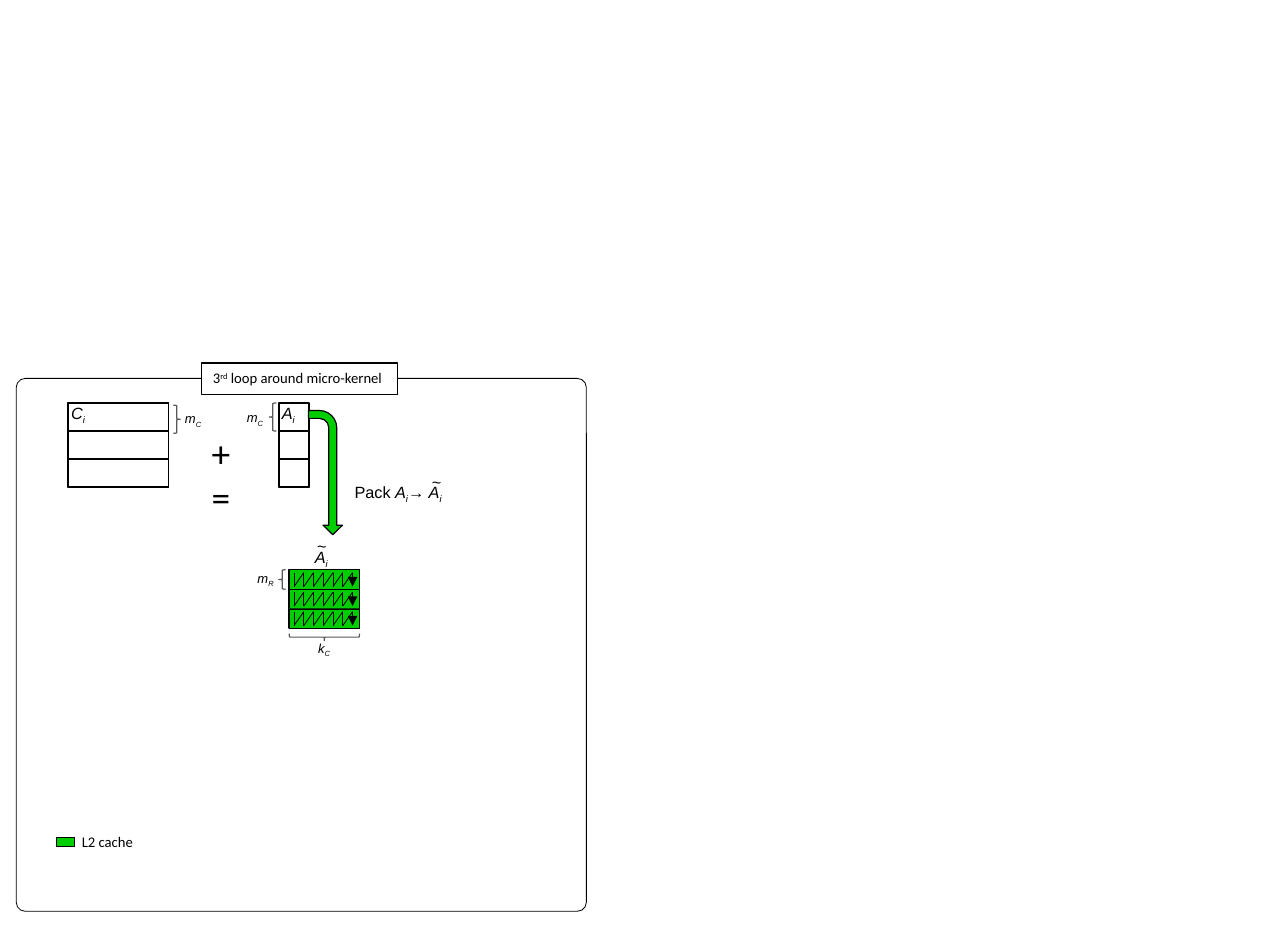
from lxml import etree
from pptx import Presentation
from pptx.dml.color import RGBColor
from pptx.enum.shapes import MSO_CONNECTOR, MSO_SHAPE
from pptx.enum.text import MSO_ANCHOR, PP_ALIGN
from pptx.oxml.ns import qn
from pptx.util import Pt

RECTANGLE = MSO_SHAPE.RECTANGLE
BRACE = MSO_SHAPE.RIGHT_BRACE
STRAIGHT = MSO_CONNECTOR.STRAIGHT
COLORS = {"black": "000000", "white": "FFFFFF", "l2": "00CE00", "brace": "595959"}

presentation = Presentation()
presentation.slide_width = Pt(792)
presentation.slide_height = Pt(576)
slide = presentation.slides.add_slide(presentation.slide_layouts[6])


def add_outline(kind, box, fill, line_width, line="black"):
    shape = slide.shapes.add_shape(kind, *map(Pt, box))
    shape.shadow.inherit = False
    if fill:
        shape.fill.solid()
        shape.fill.fore_color.rgb = RGBColor.from_string(COLORS[fill])
    else:
        shape.fill.background()
    shape.line.color.rgb = RGBColor.from_string(COLORS[line])
    shape.line.width = Pt(line_width)
    return shape


def write_text(shape, size, font, runs):
    """Each run is (text, italic, baseline in percent)."""
    frame = shape.text_frame
    frame.word_wrap = True
    frame.vertical_anchor = MSO_ANCHOR.TOP
    paragraph = frame.paragraphs[0]
    paragraph.alignment = PP_ALIGN.LEFT
    paragraph.font.size = Pt(size)
    paragraph.font.name = font
    paragraph.font.color.rgb = RGBColor.from_string(COLORS["black"])
    for text, italic, baseline in runs:
        run = paragraph.add_run()
        run.text = text
        run.font.italic = italic
        if baseline:
            run._r.get_or_add_rPr().set("baseline", str(baseline * 1000))


# Loop frame and its title
loop_frame = add_outline(MSO_SHAPE.ROUNDED_RECTANGLE, (10, 232.6, 350.6, 327.6), None, 0.5)
loop_frame.adjustments[0] = 0.017
title = add_outline(RECTANGLE, (123.8, 223.2, 120.6, 19.4), "white", 0.75)
write_text(title, 9, "Calibri", [
    ("3", False, 0), ("rd", False, 30), (" loop around micro-kernel", False, 0)])

# Matrices C, A and packed A: left, top, width, row height, rows, fill, line widths
MATRICES = [
    (41.8, 247.7, 61.9, 17.28, range(3), "white", 1, 1),
    (171.4, 247.7, 18.7, 17.28, range(1, 3), "white", 1, 1),
    (177.8, 350.2, 43.2, 12, range(3), "l2", 1, 0.25),
]
for left, top, width, row_height, rows, fill, border, divider in MATRICES:
    add_outline(RECTANGLE, (left, top, width, 3 * row_height), fill, border)
    for row in rows:
        add_outline(RECTANGLE, (left, top + row * row_height, width, row_height),
                    fill, divider)

# Zigzag storage order in each packed row
STEPS, PITCH, STROKE = 6, 6, 8.6
for row in range(3):
    top = 352 + 12 * row
    for step in range(STEPS + 1):
        x = 180.8 + PITCH * step
        for end_x in ([x, x - PITCH] if step else [x]):
            stroke = slide.shapes.add_connector(
                STRAIGHT, Pt(x), Pt(top), Pt(end_x), Pt(top + STROKE))
            stroke.line.color.rgb = RGBColor.from_string(COLORS["black"])
            stroke.line.width = Pt(0.5)
            properties = stroke._element.spPr
            if step == STEPS and end_x == x:
                etree.SubElement(properties.find(qn("a:ln")), qn("a:tailEnd"), type="triangle")
            etree.SubElement(properties, qn("a:effectLst"))

# Dimension braces: box before rotation, rotation
BRACES = [
    ((106.6, 249.1, 4.3, 17.28), 0),
    ((165.6, 247.7, 4.3, 17.28), 180),
    ((171.4, 350.2, 4.3, 12), 180),
    ((197.3, 370.1, 4.3, 43.2), 90),
]
for box, rotation in BRACES:
    brace = add_outline(BRACE, box, None, 0.75, "brace")
    brace.rotation = rotation

# Packing arrow
arrow = add_outline(MSO_SHAPE.BENT_ARROW, (162, 280.1, 76.3, 20.9), "l2", 0.75)
arrow.rotation = 90
for index, value in enumerate([0.232, 0.287, 0.279, 0.51]):
    arrow.adjustments[index] = value

# Legend swatch
add_outline(RECTANGLE, (34.6, 514.8, 11.5, 5.8), "l2", 0.5)

# Labels: box, size, font, runs
A_I = [("A", True, 0), ("i", True, -25)]
M_C = [("m", True, 0), ("C", True, -25)]
TILDE = [("~", False, 0)]
LABELS = [
    ((36.7, 244.1, 24.5, 19.4), 10, "Arial", [("C", True, 0), ("i", True, -25)]),
    ((166.3, 244.1, 24.5, 19.4), 10, "Arial", A_I),
    ((106.6, 249.1, 27.4, 17), 8, "Arial", M_C),
    ((144.7, 248.4, 27.4, 17), 8, "Arial", M_C),
    ((151.2, 347, 27.4, 17), 8, "Arial", [("m", True, 0), ("R", True, -25)]),
    ((188.6, 390.2, 23.8, 17), 8, "Arial", [("k", True, 0), ("C", True, -25)]),
    ((211, 293, 91.4, 19.4), 10, "Arial",
     [("Pack ", False, 0), *A_I, ("→ ", False, 0), *A_I]),
    ((258.5, 286.6, 25.9, 19.4), 10, "Arial", TILDE),
    ((186.5, 332.6, 23.8, 19.4), 10, "Arial", A_I),
    ((187.9, 326.2, 20.4, 19.4), 10, "Arial", TILDE),
    ((123.1, 260.6, 32.4, 28.8), 23, "Calibri", [("+=", False, 0)]),
    ((43.2, 508.3, 48, 18), 9, "Calibri", [("L2 cache", False, 0)]),
]
for box, size, font, runs in LABELS:
    write_text(slide.shapes.add_textbox(*map(Pt, box)), size, font, runs)

presentation.save("out.pptx")
